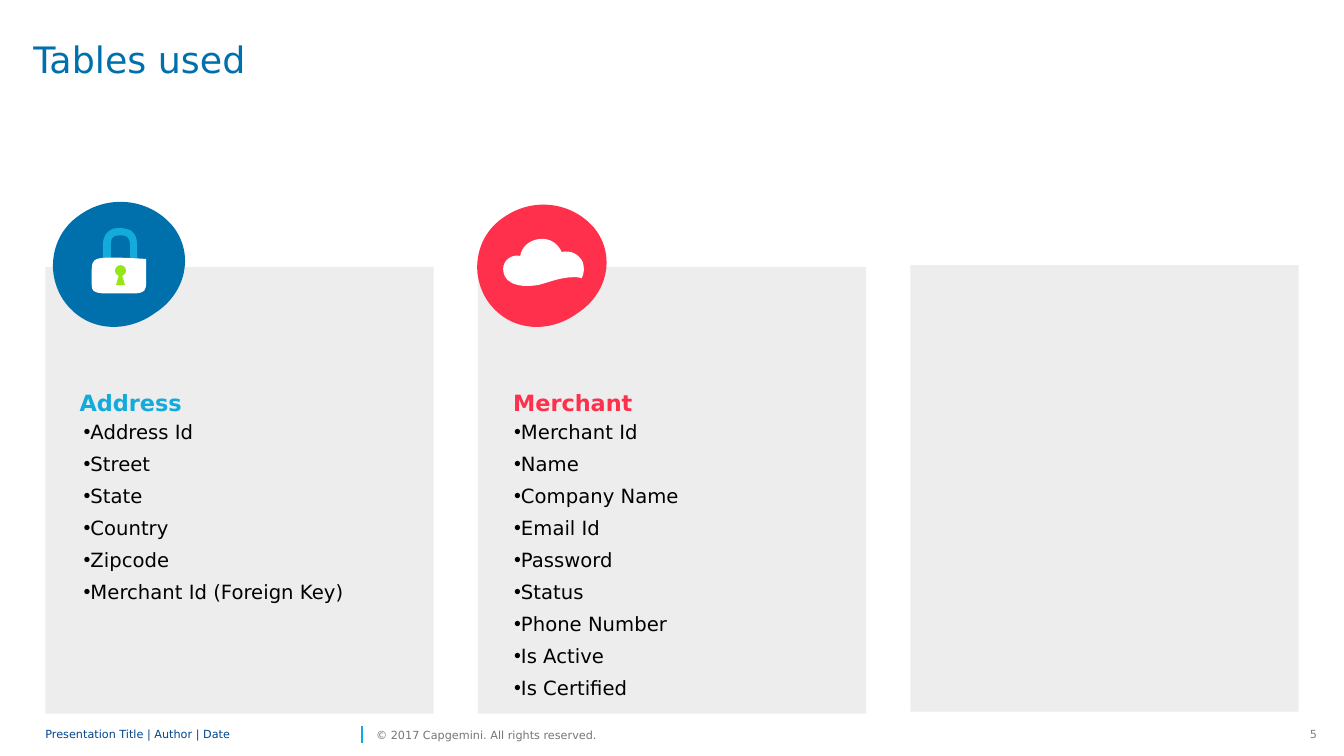
from lxml import etree
from pptx import Presentation
from pptx.dml.color import RGBColor
from pptx.enum.shapes import MSO_CONNECTOR, MSO_SHAPE
from pptx.enum.text import MSO_ANCHOR, MSO_AUTO_SIZE, PP_ALIGN
from pptx.oxml.ns import qn
from pptx.util import Inches, Pt

TOP, MIDDLE = MSO_ANCHOR.TOP, MSO_ANCHOR.MIDDLE
LEFT, RIGHT = PP_ALIGN.LEFT, PP_ALIGN.RIGHT
FONT = "DejaVu Sans"
COLORS = {
    "panel": "EDEDED", "title": "0070AD", "cyan": "12ABDB", "red": "FF304C",
    "white": "FFFFFF", "green": "95E616", "text": "000000",
    "footer": "00458D", "copyright": "767676", "number": "808080",
}

# Column grid, in inches
COLUMN_LEFT, COLUMN_STEP, PANEL_WIDTH, PANEL_HEIGHT = 0.45, 4.29, 3.85, 4.43
PANEL_TOPS = (2.65, 2.65, 2.63)

# Outlines: a start point, then segments of one point (line) or three (curve).
# The badge is in shares of its box, the icons in inches from the badge corner.
BADGE = [(0.14, 0.78),
         [(0, 0.58), (0.04, 0.29), (0.24, 0.15)],
         [(0.44, 0), (0.71, 0.04), (0.86, 0.24)],
         [(1, 0.44), (0.94, 0.71), (0.74, 0.85)],
         [(0.55, 1), (0.29, 0.99), (0.14, 0.78)]]
CLOUD = [(1.13, 0.65),
         [(1.09, 0.57), (1.01, 0.53), (0.92, 0.55)],
         [(0.92, 0.55), (0.87, 0.41), (0.71, 0.42)],
         [(0.59, 0.43), (0.52, 0.51), (0.51, 0.59)],
         [(0.44, 0.57), (0.34, 0.62), (0.34, 0.72)],
         [(0.35, 0.92), (0.61, 0.89), (0.67, 0.88)],
         [(0.75, 0.87), (0.89, 0.8), (1.04, 0.8)],
         [(1.07, 0.8), (1.1, 0.8), (1.12, 0.81)],
         [(1.14, 0.77), (1.15, 0.71), (1.13, 0.65)]]
SHACKLE = [(0.66, 0.74), [(0.58, 0.74)], [(0.58, 0.52)],
           [(0.58, 0.49), (0.58, 0.39), (0.68, 0.35)],
           [(0.72, 0.34), (0.76, 0.34), (0.81, 0.35)],
           [(0.88, 0.36), (0.92, 0.42), (0.92, 0.51)],
           [(0.92, 0.74)], [(0.85, 0.74)], [(0.85, 0.51)],
           [(0.85, 0.46), (0.83, 0.43), (0.8, 0.42)],
           [(0.76, 0.41), (0.73, 0.42), (0.7, 0.42)],
           [(0.67, 0.43), (0.66, 0.45), (0.66, 0.52)]]
LOCK_BODY = [(0.57, 0.99), [(0.92, 0.99)],
             [(0.99, 0.98), (1.01, 0.97), (1.01, 0.87)], [(1.01, 0.65)],
             [(0.88, 0.64), (0.65, 0.63), (0.57, 0.64)],
             [(0.5, 0.65), (0.47, 0.66), (0.47, 0.76)], [(0.47, 0.9)],
             [(0.47, 0.97), (0.49, 0.98), (0.57, 0.99)]]
KEYHOLE = [(0.74, 0.81), [(0.71, 0.91)], [(0.8, 0.91)], [(0.77, 0.81)]]

ADDRESS_FIELDS = ["Address Id", "Street", "State", "Country", "Zipcode",
                  "Merchant Id (Foreign Key)"]
MERCHANT_FIELDS = ["Merchant Id", "Name", "Company Name", "Email Id", "Password",
                   "Status", "Phone Number", "Is Active", "Is Certified"]


def rgb(name):
    return RGBColor.from_string(COLORS[name])


def paint(shape, color):
    shape.shadow.inherit = False
    shape.fill.solid()
    shape.fill.fore_color.rgb = rgb(color)
    shape.line.fill.background()


def add_preset(slide, kind, box, color):
    paint(slide.shapes.add_shape(kind, *map(Inches, box)), color)


def write(shape, lines, size, color, bold=False, align=LEFT, anchor=TOP, inset=(0, 0),
          wrap=True, spacing=None, after=0, bullet=False):
    frame = shape.text_frame
    frame.auto_size = MSO_AUTO_SIZE.NONE
    frame.word_wrap = wrap
    frame.vertical_anchor = anchor
    frame.margin_left = frame.margin_right = Inches(inset[0])
    frame.margin_top = frame.margin_bottom = Inches(inset[1])
    frame.text = "\n".join(lines)
    for paragraph in frame.paragraphs:
        if bullet:
            properties = paragraph._p.get_or_add_pPr()
            etree.SubElement(properties, qn("a:buFont")).set("typeface", "Arial")
            etree.SubElement(properties, qn("a:buChar")).set("char", "•")
        paragraph.alignment = align
        paragraph.space_after = Pt(after)
        if spacing:
            paragraph.line_spacing = spacing
        font = paragraph.font
        font.name, font.size, font.bold = FONT, Pt(size), bold
        font.color.rgb = rgb(color)


def add_text(slide, box, lines, size, color, **options):
    write(slide.shapes.add_textbox(*map(Inches, box)), lines, size, color, **options)


def add_outline(slide, outline, left, top, color, width=1, height=1):
    start, *segments = outline
    points = [(Inches(left + x * width), Inches(top + y * height))
              for x, y in [start, *(point for segment in segments for point in segment)]]
    builder = slide.shapes.build_freeform(*points[0])
    builder.add_line_segments(points[1:], close=True)
    shape = builder.convert_to_shape()
    # Join the three lines of each curved segment into one cubic curve
    lines = iter(list(shape._element.iter(qn("a:lnTo"))))
    for segment in segments:
        first, *others = [next(lines) for _ in segment]
        if others:
            first.tag = qn("a:cubicBezTo")
        for line in others:
            first.append(line[0])
            line.getparent().remove(line)
    paint(shape, color)


def add_title(slide, box):
    title = slide.shapes.title
    title.left, title.top, title.width, title.height = map(Inches, box)
    write(title, ["Tables used"], 26, "title", spacing=0.9)


def add_table_card(slide, left, top, heading, fields, color, indents):
    heading_indent, list_indent = indents
    add_text(slide, (left + heading_indent, top + 1, 3.16, 0.71), [heading], 16, color,
             bold=True, anchor=MIDDLE, spacing=Pt(18), after=6)
    add_text(slide, (left + list_indent, top + 1.52, 3.14, 2.75), fields, 14, "text",
             after=6, bullet=True)


def add_cloud_badge(slide, left, top):
    add_outline(slide, BADGE, left, top, "red", 1.46, 1.36)
    add_outline(slide, CLOUD, left, top, "white")


def add_lock_badge(slide, left, top):
    add_outline(slide, BADGE, left, top, "title", 1.49, 1.39)
    add_outline(slide, SHACKLE, left, top, "cyan")
    add_outline(slide, LOCK_BODY, left, top, "white")
    add_preset(slide, MSO_SHAPE.OVAL, (left + 0.7, top + 0.71, 0.11, 0.11), "green")
    add_outline(slide, KEYHOLE, left, top, "green")


def add_footer(slide, left, top, height):
    add_text(slide, (left, top, 3.09, height), ["Presentation Title | Author | Date"],
             8, "footer", anchor=MIDDLE, spacing=0.85)
    add_text(slide, (left + 3.28, top, 2.43, height),
             ["© 2017 Capgemini. All rights reserved."], 8, "copyright",
             anchor=MIDDLE, wrap=False)
    add_text(slide, (left + 12.44, top, 0.27, height), ["5"], 8, "number",
             align=RIGHT, inset=(0.1, 0.05), wrap=False)
    divider = slide.shapes.add_connector(
        MSO_CONNECTOR.STRAIGHT, Inches(left + 3.14), Inches(top + 0.2),
        Inches(left + 3.14), Inches(top + 0.03))
    divider.line.color.rgb = rgb("cyan")
    divider.line.width = Pt(1)
    etree.SubElement(divider._element.spPr, qn("a:effectLst"))


def main():
    presentation = Presentation()
    presentation.slide_width, presentation.slide_height = Inches(13.33), Inches(7.5)
    slide = presentation.slides.add_slide(presentation.slide_layouts[5])

    # Panels
    columns = [COLUMN_LEFT + COLUMN_STEP * index for index in range(3)]
    for left, top in zip(columns, PANEL_TOPS):
        add_preset(slide, MSO_SHAPE.RECTANGLE, (left, top, PANEL_WIDTH, PANEL_HEIGHT), "panel")

    # Title, cards and badges
    add_title(slide, (0.33, 0.42, 7.08, 0.94))
    add_table_card(slide, columns[0], PANEL_TOPS[0], "Address", ADDRESS_FIELDS,
                   "cyan", (0.34, 0.38))
    add_table_card(slide, columns[1], PANEL_TOPS[1], "Merchant", MERCHANT_FIELDS,
                   "red", (0.35, 0.36))
    add_lock_badge(slide, columns[0] - 0.01, 1.92)
    add_cloud_badge(slide, columns[1] - 0.09, 1.95)

    add_footer(slide, COLUMN_LEFT, 7.17, 0.24)
    presentation.save("out.pptx")


if __name__ == "__main__":
    main()
